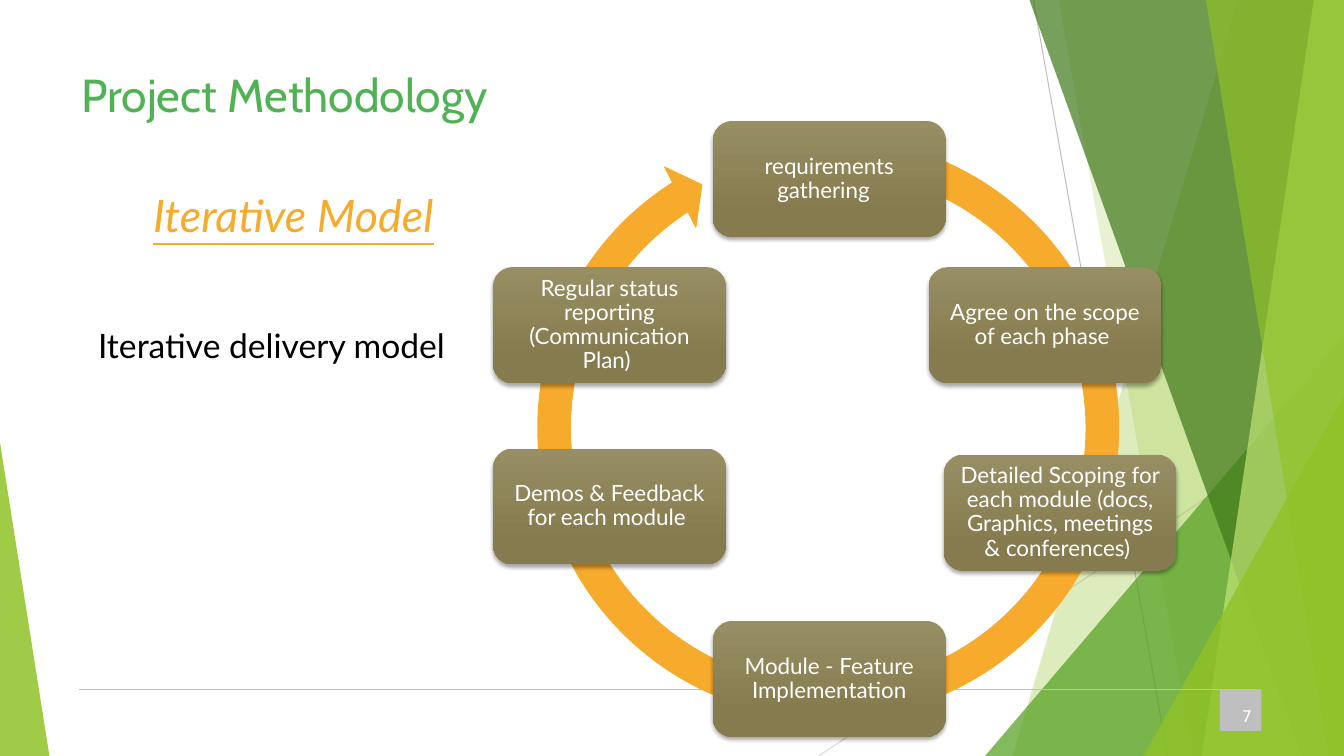
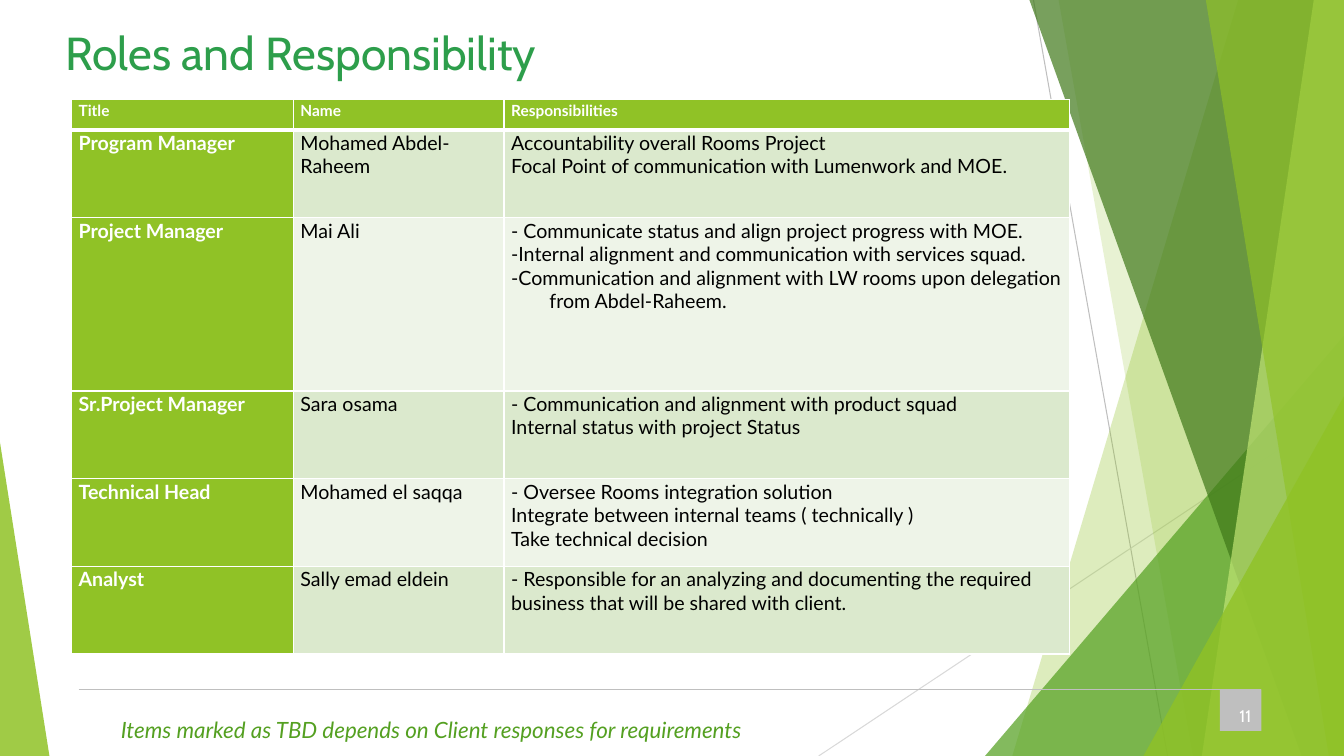
import pptx
import pptx.util
from dataclasses import dataclass
from lxml import etree
from pptx.dml.color import RGBColor
from pptx.enum.shapes import MSO_CONNECTOR, MSO_SHAPE
from pptx.enum.text import MSO_ANCHOR, PP_ALIGN
from pptx.oxml.ns import qn

PX = 9144  # EMU per px: 100 px to the inch
SLIDE_W, SLIDE_H = 1333, 750


@dataclass(frozen=True)
class Theme:
    lime: str = "90C226"
    pale_lime: str = "C0E474"
    green: str = "54A021"
    dark_green: str = "3F7819"
    grey: str = "BFBFBF"
    light_grey: str = "D9D9D9"
    orange: str = "F7AB2D"
    white: str = "FFFFFF"
    black: str = "000000"
    methodology_title: str = "51B255"
    roles_title: str = "2D9E4B"
    step_top: str = "988E64"
    step_bottom: str = "857B4E"
    bands: tuple = ("DBE9CD", "EEF4E8")
    heading_font: str = "Cabin"
    body_font: str = "Lato"
    title_size: int = 33
    lead_size: int = 32
    statement_size: int = 24
    step_size: int = 16
    cell_size: int = 14
    number_size: int = 12
    header_size: int = 11


T = Theme()

# ---- Content ----
# Steps in clockwise order: text, left, top
STEPS = [
    ("requirements gathering  ", 707, 120),
    ("Agree on the scope of each phase ", 921, 265),
    ("Detailed Scoping for each module (docs, Graphics, meetings & conferences) ", 936, 451),
    ("Module - Feature Implementation", 707, 616),
    ("Demos & Feedback for each module ", 489, 445),
    ("Regular status reporting (Communication Plan) ", 489, 265),
]
STEP_W, STEP_H = 231, 115
STEP_INSET = 7  # the rounded corners inset the text further
CYCLE_BOX = (516, 119, 611, 611)
CYCLE_ADJUSTMENTS = (0.053, 3.126, 142.401, 171.2, 0.055)

ROLE_HEADER = ("Title", "Name", "Responsibilities")
# Title, name, responsibilities as (text, hanging indent)
ROLES = [
    ("Program Manager", "Mohamed Abdel-Raheem", [
        ("Accountability overall Rooms Project", False),
        ("Focal Point of communication with Lumenwork and MOE.", False)]),
    ("Project Manager", "Mai Ali", [
        ("- Communicate status and align project progress with MOE.", False),
        ("-Internal alignment and communication with services squad.", True),
        ("-Communication and alignment with LW rooms upon delegation from Abdel-Raheem.", True)]),
    ("Sr.Project Manager", "Sara osama", [
        ("- Communication and alignment with product squad", False),
        ("Internal status with project Status", True)]),
    ("Technical Head", "Mohamed el saqqa", [
        ("- Oversee Rooms integration solution", False),
        ("Integrate between internal teams ( technically )", True),
        ("Take technical decision", True)]),
    ("Analyst", "Sally emad eldein", [
        ("- Responsible for an analyzing and documenting the required "
         "business that will be shared with client.", False)]),
]
ROLE_COLUMNS = (220, 209, 561)
ROLE_ROWS = (30, 87, 172, 87, 87, 87)
HANGING = 38

# Backdrop facets, back to front: outline, colour, opacity in percent
FACETS = [
    ([(1228, 0), (1333, 0), (1333, 750), (1004, 750)], T.lime, 30),
    ([(1050, 0), (1333, 0), (1333, 750), (1183, 750)], T.lime, 20),
    ([(1333, 333), (1333, 750), (977, 750)], T.green, 72),
    ([(1021, 0), (1333, 0), (1333, 750), (1291, 750)], T.dark_green, 70),
    ([(1303, 0), (1333, 0), (1333, 750), (1192, 750)], T.pale_lime, 70),
    ([(1196, 0), (1333, 0), (1333, 750), (1318, 750)], T.lime, 65),
    ([(1333, 393), (1333, 750), (1134, 750)], T.lime, 80),
    ([(0, 439), (49, 750), (0, 750)], T.lime, 85),
]
BACKDROP_LINES = [
    ((1025, 0), (1158, 750), T.grey, 0.75),
    ((1333, 403), (812, 750), T.light_grey, 0.75),
]
FOOTER_LINE = ((78, 684), (1251, 684), T.grey, 1)


# ---- Helpers ----
def emu(*lengths):
    return [pptx.util.Emu(round(n * PX)) for n in lengths]


def rgb(code):
    return RGBColor.from_string(code)


def add_xml(parent, tag, **attributes):
    return etree.SubElement(parent, qn(tag), {k: str(v) for k, v in attributes.items()})


def add_run(paragraph, text, size, color, font=T.body_font, bold=False, italic=False, underline=False):
    run = paragraph.add_run()
    run.text = text
    style = run.font
    style.name, style.size, style.color.rgb = font, pptx.util.Pt(size), rgb(color)
    style.bold, style.italic, style.underline = bold, italic, underline


def add_text(slide, box, text, size, color, align=PP_ALIGN.LEFT, anchor=MSO_ANCHOR.TOP, **style):
    frame = slide.shapes.add_textbox(*emu(*box)).text_frame
    frame.word_wrap = True
    frame.vertical_anchor = anchor
    frame.paragraphs[0].alignment = align
    add_run(frame.paragraphs[0], text, size, color, **style)


def paint(shape, color, opacity=100):
    shape.shadow.inherit = False
    shape.line.fill.background()
    shape.fill.solid()
    shape.fill.fore_color.rgb = rgb(color)
    if opacity < 100:
        tint = shape.fill._xPr.find(qn("a:solidFill"))[0]
        add_xml(tint, "a:alpha", val=opacity * 1000)


def add_line(slide, start, end, color, width):
    line = slide.shapes.add_connector(MSO_CONNECTOR.STRAIGHT, *emu(*start, *end))
    line.line.color.rgb = rgb(color)
    line.line.width = pptx.util.Pt(width)
    add_xml(line._element.spPr, "a:effectLst")


def add_base_slide(deck, title, title_box, title_color, number):
    slide = deck.slides.add_slide(deck.slide_layouts[6])
    for line in BACKDROP_LINES:
        add_line(slide, *line)
    for outline, color, opacity in FACETS:
        builder = slide.shapes.build_freeform(*outline[0], scale=PX)
        builder.add_line_segments(outline[1:], close=True)
        paint(builder.convert_to_shape(), color, opacity)
    add_line(slide, *FOOTER_LINE)
    paint(slide.shapes.add_shape(MSO_SHAPE.RECTANGLE, *emu(1210, 684, 41, 41)), T.grey)
    add_text(slide, title_box, title, T.title_size, title_color, font=T.heading_font)
    add_text(slide, (1210, 690, 41, 41), number, T.number_size, T.white,
             PP_ALIGN.RIGHT, MSO_ANCHOR.MIDDLE, font=T.heading_font)
    return slide


def add_step(slide, text, left, top):
    step = slide.shapes.add_shape(MSO_SHAPE.ROUNDED_RECTANGLE, *emu(left, top, STEP_W, STEP_H))
    step.line.fill.background()
    step.fill.gradient()
    step.fill.gradient_angle = 270
    stops = zip(step.fill.gradient_stops, (T.step_top, T.step_bottom), (0, 0.78))
    for stop, color, position in stops:
        stop.color.rgb, stop.position = rgb(color), position
    step.shadow.inherit = False
    effects = step._element.spPr.find(qn("a:effectLst"))
    shadow = add_xml(effects, "a:outerShdw", blurRad=38100, dist=25400, dir=5400000, rotWithShape=0)
    add_xml(add_xml(shadow, "a:srgbClr", val=T.black), "a:alpha", val=35000)

    frame = step.text_frame
    frame.word_wrap = True
    frame.vertical_anchor = MSO_ANCHOR.MIDDLE
    frame.margin_left, frame.margin_top, frame.margin_right, frame.margin_bottom = emu(*[STEP_INSET] * 4)
    paragraph = frame.paragraphs[0]
    paragraph.alignment, paragraph.line_spacing = PP_ALIGN.CENTER, 0.9
    add_run(paragraph, text, T.step_size, T.white)


def fill_cell(cell, entries, fill, size, color, bold, heavy_edge=None):
    cell.margin_left, cell.margin_top, cell.margin_right, cell.margin_bottom = emu(7, 1, 7, 0)
    frame = cell.text_frame
    for i, (text, hanging) in enumerate(entries):
        paragraph = frame.add_paragraph() if i else frame.paragraphs[0]
        if hanging:
            properties = paragraph._p.get_or_add_pPr()
            properties.set("marL", str(HANGING * PX))
            properties.set("indent", str(-HANGING * PX))
        add_run(paragraph, text, size, color, bold=bold)
    cell_properties = cell._tc.get_or_add_tcPr()
    for edge in ("a:lnL", "a:lnR", "a:lnT", "a:lnB"):
        border = add_xml(cell_properties, edge, w=12700 * (3 if edge == heavy_edge else 1))
        add_xml(add_xml(border, "a:solidFill"), "a:srgbClr", val=T.white)
    cell.fill.solid()
    cell.fill.fore_color.rgb = rgb(fill)


# ---- Slides ----
def build_methodology(deck):
    slide = add_base_slide(deck, "Project Methodology", (71, 61, 1227, 66), T.methodology_title, "7")
    cycle = slide.shapes.add_shape(MSO_SHAPE.CIRCULAR_ARROW, *emu(*CYCLE_BOX))
    for i, value in enumerate(CYCLE_ADJUSTMENTS):
        cycle.adjustments[i] = value
    paint(cycle, T.orange)
    cycle.line.color.rgb = rgb(T.orange)
    cycle.line.width = pptx.util.Pt(0.75)
    for step in STEPS:
        add_step(slide, *step)
    add_text(slide, (142, 181, 309, 64), "Iterative Model", T.lead_size, T.orange,
             italic=True, underline=True)
    add_text(slide, (71, 317, 405, 50), "Iterative delivery model ", T.statement_size, T.black,
             PP_ALIGN.CENTER)


def build_roles(deck):
    slide = add_base_slide(deck, "Roles and Responsibility", (55, 19, 1243, 66), T.roles_title, "11")
    add_text(slide, (110, 706, 902, 37),
             "Items marked as TBD depends on Client responses for requirements",
             T.step_size, T.green, italic=True)
    table = slide.shapes.add_table(
        len(ROLE_ROWS), len(ROLE_COLUMNS),
        *emu(71, 99, sum(ROLE_COLUMNS), sum(ROLE_ROWS))).table
    table.first_col, table.horz_banding = True, False
    for column, width in zip(table.columns, emu(*ROLE_COLUMNS)):
        column.width = width
    for row, height in zip(table.rows, emu(*ROLE_ROWS)):
        row.height = height
    for c, label in enumerate(ROLE_HEADER):
        fill_cell(table.cell(0, c), [(label, False)], T.lime, T.header_size, T.white, True, "a:lnB")
    for r, (role, person, duties) in enumerate(ROLES, start=1):
        band = T.bands[(r - 1) % 2]
        heavy_edge = "a:lnT" if r == 1 else None
        fill_cell(table.cell(r, 0), [(role, False)], T.lime, T.cell_size, T.white, True, heavy_edge)
        for c, entries in enumerate(([(person, False)], duties), start=1):
            fill_cell(table.cell(r, c), entries, band, T.cell_size, T.black, False, heavy_edge)


def main():
    deck = pptx.Presentation()
    deck.slide_width, deck.slide_height = emu(SLIDE_W, SLIDE_H)
    build_methodology(deck)
    build_roles(deck)
    deck.save("out.pptx")


if __name__ == "__main__":
    main()
